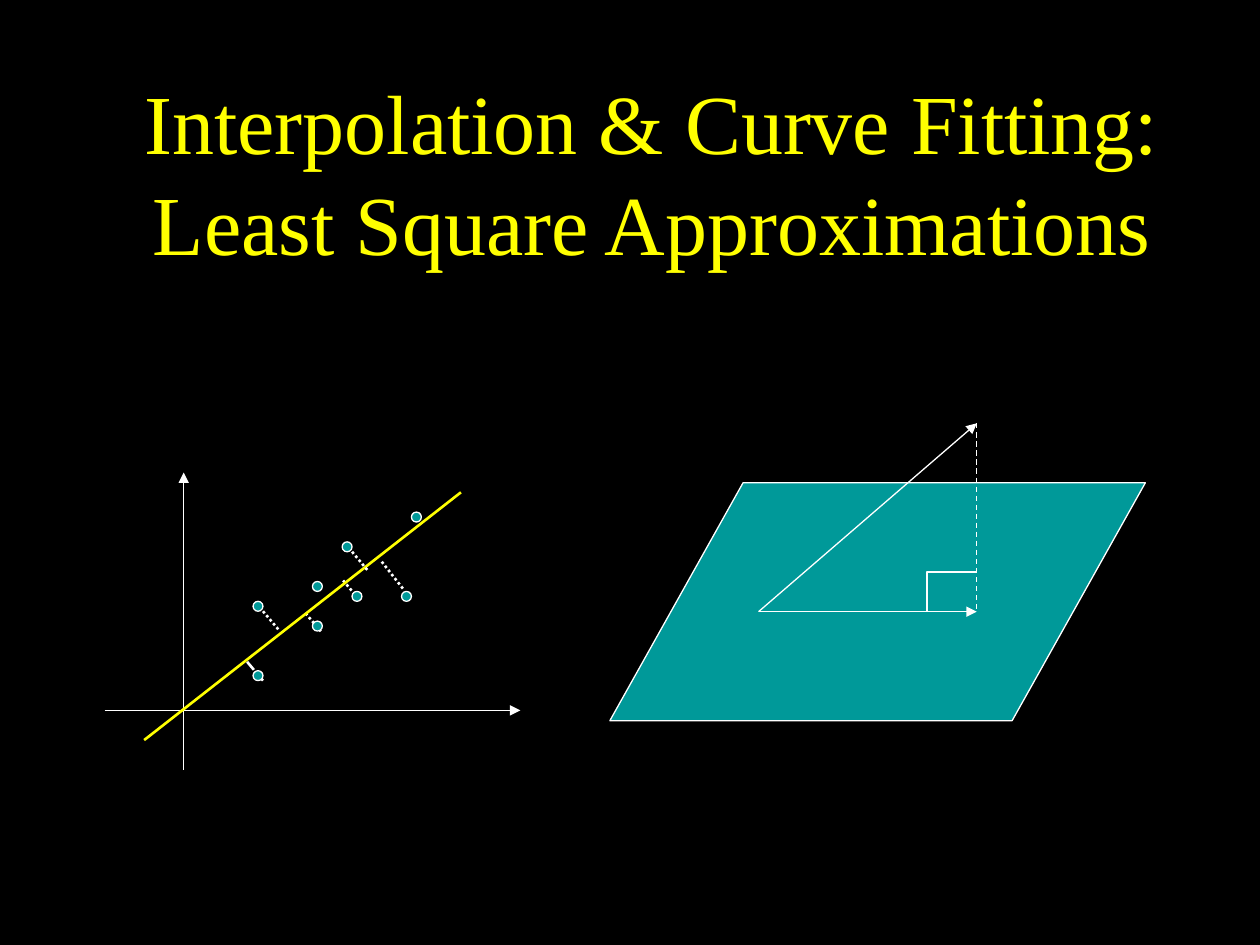
from dataclasses import dataclass
from pptx import Presentation
from pptx.dml.color import RGBColor
from pptx.enum.dml import MSO_LINE
from pptx.enum.shapes import MSO_CONNECTOR, MSO_SHAPE
from pptx.enum.text import MSO_ANCHOR, MSO_AUTO_SIZE, PP_ALIGN
from pptx.oxml.ns import qn
from pptx.util import Inches, Pt
from lxml import etree

DASH, DOT = MSO_LINE.DASH, MSO_LINE.ROUND_DOT
STRAIGHT = MSO_CONNECTOR.STRAIGHT
OVAL, SLANT = MSO_SHAPE.OVAL, MSO_SHAPE.PARALLELOGRAM
MIDDLE, CENTER, FIXED = MSO_ANCHOR.MIDDLE, PP_ALIGN.CENTER, MSO_AUTO_SIZE.NONE


@dataclass
class Theme:
    back: RGBColor = RGBColor(0, 0, 0)
    ink: RGBColor = RGBColor(255, 255, 255)
    teal: RGBColor = RGBColor(0, 153, 153)
    gold: RGBColor = RGBColor(255, 255, 0)
    font: str = "Times New Roman"
    size: float = 48
    thin: float = 0.75
    thick: float = 1.5


@dataclass
class Grid:
    left: float
    top: float
    width: float
    height: float
    cols: int
    rows: int

    def span(self, cols, rows):
        return (Inches(self.width * cols / self.cols),
                Inches(self.height * rows / self.rows))

    def spot(self, col, row):
        x, y = self.span(col, row)
        return Inches(self.left) + x, Inches(self.top) + y


theme = Theme()


def stroke(line, color=theme.ink, width=theme.thin):
    line.color.rgb = color
    line.width = Pt(width)


def draw(shapes, grid, start, end, color=theme.ink, width=theme.thin,
         dash=None, arrow=False):
    link = shapes.add_connector(STRAIGHT, *grid.spot(*start), *grid.spot(*end))
    stroke(link.line, color, width)
    if dash:
        link.line.dash_style = dash
    if arrow:
        etree.SubElement(link.line._get_or_add_ln(), qn("a:tailEnd"), type="triangle")
    etree.SubElement(link._element.spPr, qn("a:effectLst"))


def block(shapes, grid, kind, place, size):
    shape = shapes.add_shape(kind, *grid.spot(*place), *grid.span(*size))
    shape.shadow.inherit = False
    shape.fill.solid()
    shape.fill.fore_color.rgb = theme.teal
    stroke(shape.line)
    return shape


def add_title(slide, left, top, width, height):
    title = slide.shapes.title
    title.left, title.top = Inches(left), Inches(top)
    title.width, title.height = Inches(width), Inches(height)
    frame = title.text_frame
    frame.text = "Interpolation & Curve Fitting:\vLeast Square Approximations"
    frame.word_wrap = True
    frame.auto_size = FIXED
    frame.vertical_anchor = MIDDLE
    para = frame.paragraphs[0]
    para.alignment = CENTER
    for run in para.runs:
        run.font.name = theme.font
        run.font.size = Pt(theme.size)
        run.font.color.rgb = theme.gold


def add_plane(slide, grid):
    plane = block(slide.shapes, grid, SLANT, (0, 6), (54, 24))
    plane.adjustments[0] = 0.56
    shapes = slide.shapes.add_group_shape().shapes
    start, foot, tip = (15, 19), (37, 19), (37, 0)
    draw(shapes, grid, start, foot, arrow=True)
    draw(shapes, grid, start, tip, arrow=True)
    draw(shapes, grid, tip, foot, dash=DASH)
    pen = shapes.build_freeform(*grid.spot(37, 15))
    pen.add_line_segments([grid.spot(32, 15), grid.spot(32, 19)], close=False)
    corner = pen.convert_to_shape()
    corner.shadow.inherit = False
    corner.fill.background()
    stroke(corner.line)


def add_plot(slide, grid):
    shapes = slide.shapes

    def add_gaps(gaps):
        for start, end, dash in gaps:
            draw(shapes, grid, start, end, width=theme.thick, dash=dash)

    add_gaps([((20.3, 14.2), (21.9, 16.1), DOT),
              ((24.1, 10.9), (25.7, 12.8), DOT),
              ((14.4, 19.1), (16, 21), DASH)])
    draw(shapes, grid, (8, 30), (8, 0), arrow=True)
    draw(shapes, grid, (0, 24), (42, 24), arrow=True)
    for place in [(15, 13), (21, 15), (21, 11), (25, 12),
                  (24, 7), (30, 12), (31, 4), (15, 20)]:
        block(shapes, grid, OVAL, place, (1, 1))
    draw(shapes, grid, (4, 27), (36, 2), theme.gold, theme.thick)
    add_gaps([((16, 14), (17.7, 16), DOT),
              ((28, 9), (30.2, 11.8), DOT),
              ((25, 8), (26.6, 9.9), DOT)])


def main():
    deck = Presentation()
    deck.slide_width, deck.slide_height = Inches(10), Inches(7.5)
    slide = deck.slides.add_slide(deck.slide_layouts[0])
    sub = slide.placeholders[1].element
    sub.getparent().remove(sub)
    slide.background.fill.solid()
    slide.background.fill.fore_color.rgb = theme.back
    add_title(slide, 0, 0.36, 10.35, 2)
    add_plane(slide, Grid(4.84, 3.36, 4.25, 2.36, 54, 30))
    add_plot(slide, Grid(0.83, 3.75, 3.3, 2.36, 42, 30))
    deck.save("out.pptx")


if __name__ == "__main__":
    main()
